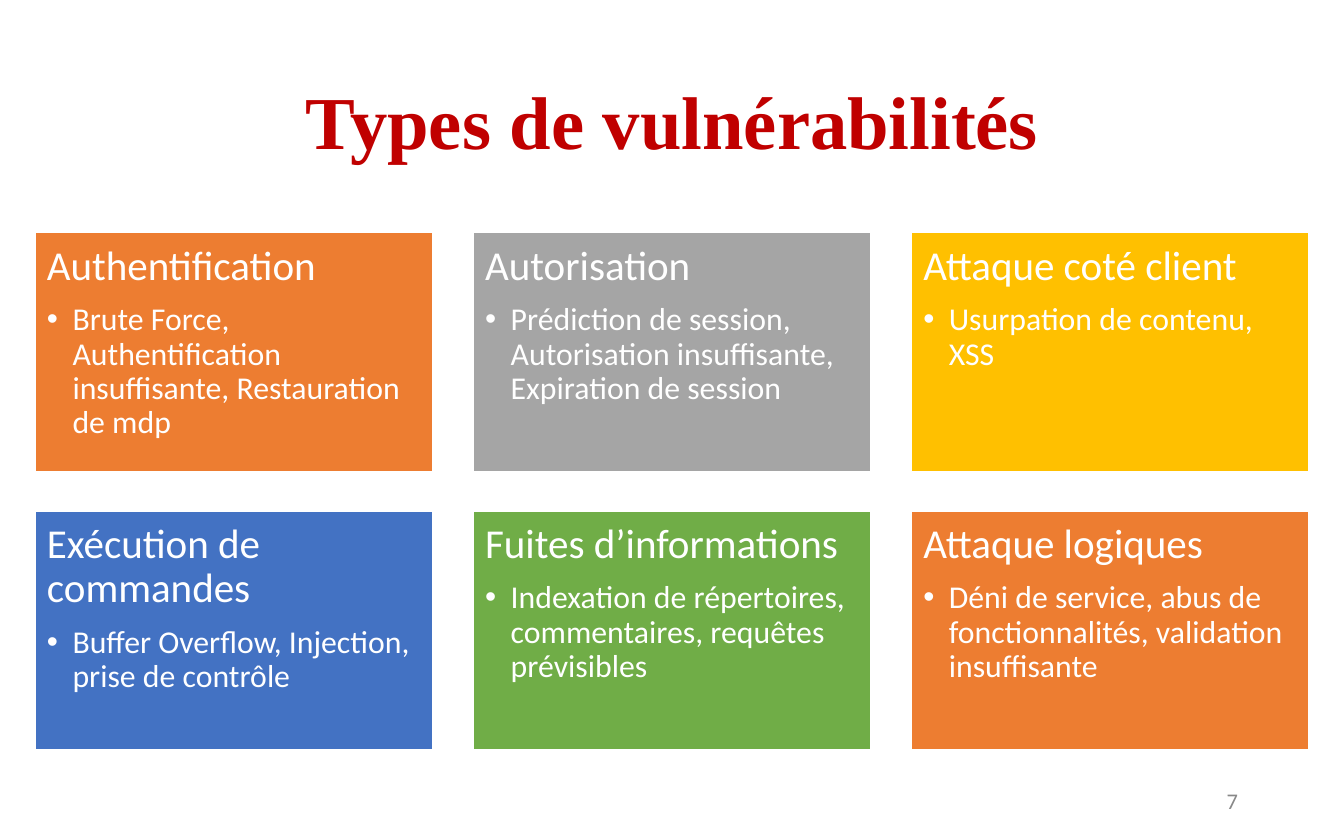
"""Build the slide on types of vulnerabilities: a title over a grid of six cards."""
from lxml.etree import SubElement
from pptx import Presentation
from pptx.dml.color import RGBColor
from pptx.enum.shapes import MSO_SHAPE
from pptx.enum.text import MSO_ANCHOR, PP_ALIGN
from pptx.oxml.ns import qn
from pptx.util import Inches, Pt


def colour(hex_string):
    """Turn a hex string into a colour."""
    return RGBColor.from_string(hex_string)


def style(para, size, hex_string, font="Calibri", align=PP_ALIGN.LEFT):
    """Set the font and alignment of a paragraph."""
    para.alignment = align
    para.font.name = font
    para.font.size = Pt(size)
    para.font.color.rgb = colour(hex_string)


CARDS = [
    ("Authentification", "Brute Force, Authentification insuffisante, Restauration de mdp", "ED7D31"),
    ("Autorisation", "Prédiction de session, Autorisation insuffisante, Expiration de session", "A5A5A5"),
    ("Attaque coté client", "Usurpation de contenu, XSS", "FFC000"),
    ("Exécution de commandes", "Buffer Overflow, Injection, prise de contrôle", "4372C3"),
    ("Fuites d’informations", "Indexation de répertoires, commentaires, requêtes prévisibles", "70AD47"),
    ("Attaque logiques", "Déni de service, abus de fonctionnalités, validation insuffisante", "ED7D31"),
]
COLUMNS = 3
LEFT, TOP = Inches(0.26), Inches(1.73)
CARD_WIDTH, CARD_HEIGHT = Inches(2.96), Inches(1.78)
COLUMN_STEP, ROW_STEP = Inches(3.26), Inches(2.07)
PADDING, INDENT = Inches(0.09), Inches(0.19)

deck = Presentation()
deck.slide_width, deck.slide_height = Inches(10), Inches(6.25)
page = deck.slides.add_slide(deck.slide_layouts[5])

title = page.shapes.title
title.left, title.top = Inches(0.69), Inches(0.33)
title.width, title.height = Inches(8.62), Inches(1.21)
title.text_frame.text = "Types de vulnérabilités"
title.text_frame.vertical_anchor = MSO_ANCHOR.MIDDLE
heading = title.text_frame.paragraphs[0]
heading.line_spacing = 0.9
style(heading, 40, "C00000", "Times New Roman", PP_ALIGN.CENTER)
heading.font.bold = True

for index, (name, examples, fill) in enumerate(CARDS):
    row, column = divmod(index, COLUMNS)
    card = page.shapes.add_shape(
        MSO_SHAPE.RECTANGLE, LEFT + column * COLUMN_STEP, TOP + row * ROW_STEP, CARD_WIDTH, CARD_HEIGHT
    )
    card.shadow.inherit = False
    card.fill.solid()
    card.fill.fore_color.rgb = colour(fill)
    card.line.color.rgb = colour("FFFFFF")
    card.line.width = Pt(1)

    frame = card.text_frame
    frame.word_wrap = True
    frame.vertical_anchor = MSO_ANCHOR.TOP
    frame.margin_left = frame.margin_right = frame.margin_top = frame.margin_bottom = PADDING
    frame.text = name
    label = frame.paragraphs[0]
    label.line_spacing = 0.9
    style(label, 22, "FFFFFF")

    detail = frame.add_paragraph()
    detail.text = examples
    detail.level = 1
    detail.line_spacing = 0.9
    detail.space_before = Pt(7.7)
    properties = detail._p.get_or_add_pPr()
    properties.set("marL", str(INDENT))
    properties.set("indent", str(-INDENT))
    SubElement(properties, qn("a:buFont"), typeface="Arial")
    SubElement(properties, qn("a:buChar"), char="•")
    style(detail, 17, "FFFFFF")

number = page.shapes.add_textbox(Inches(7.06), Inches(5.79), Inches(2.25), Inches(0.33))
number.text_frame.word_wrap = True
number.text_frame.vertical_anchor = MSO_ANCHOR.MIDDLE
number.text_frame.text = "7"
style(number.text_frame.paragraphs[0], 12, "888888", align=PP_ALIGN.RIGHT)

deck.save("out.pptx")
